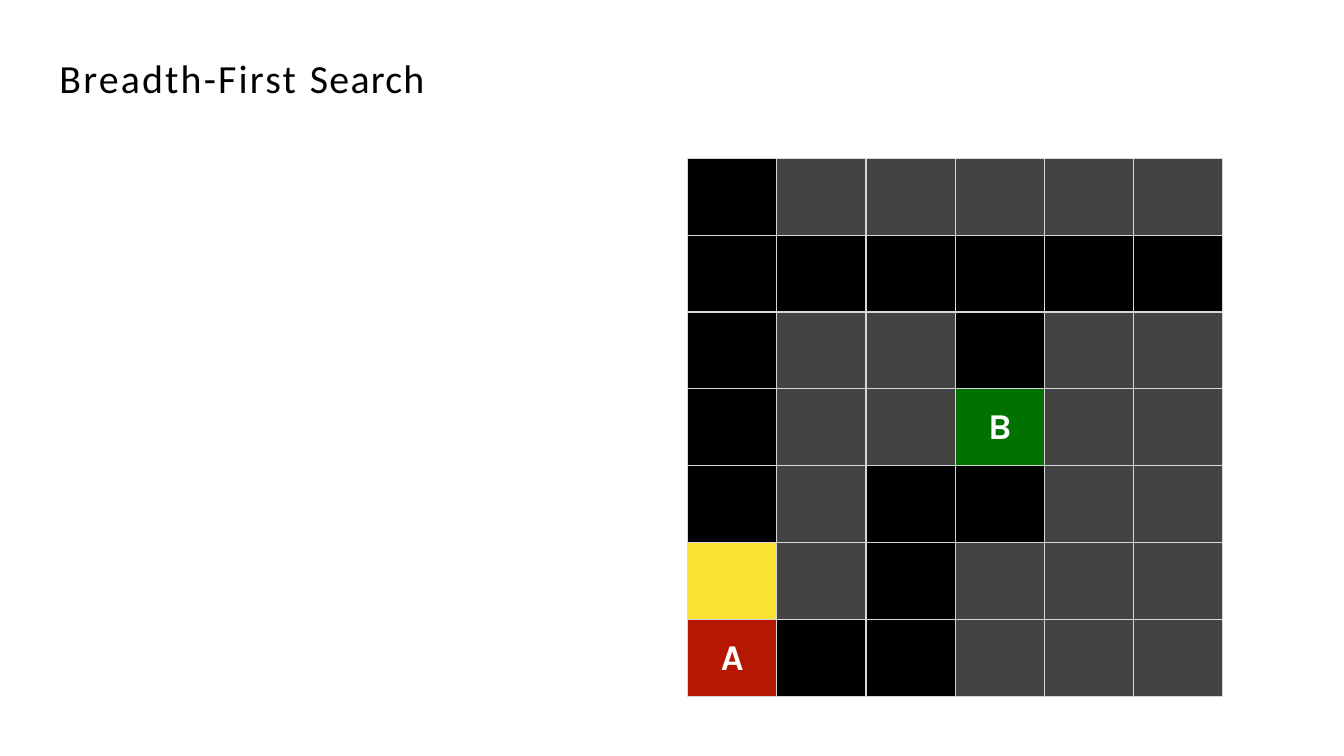
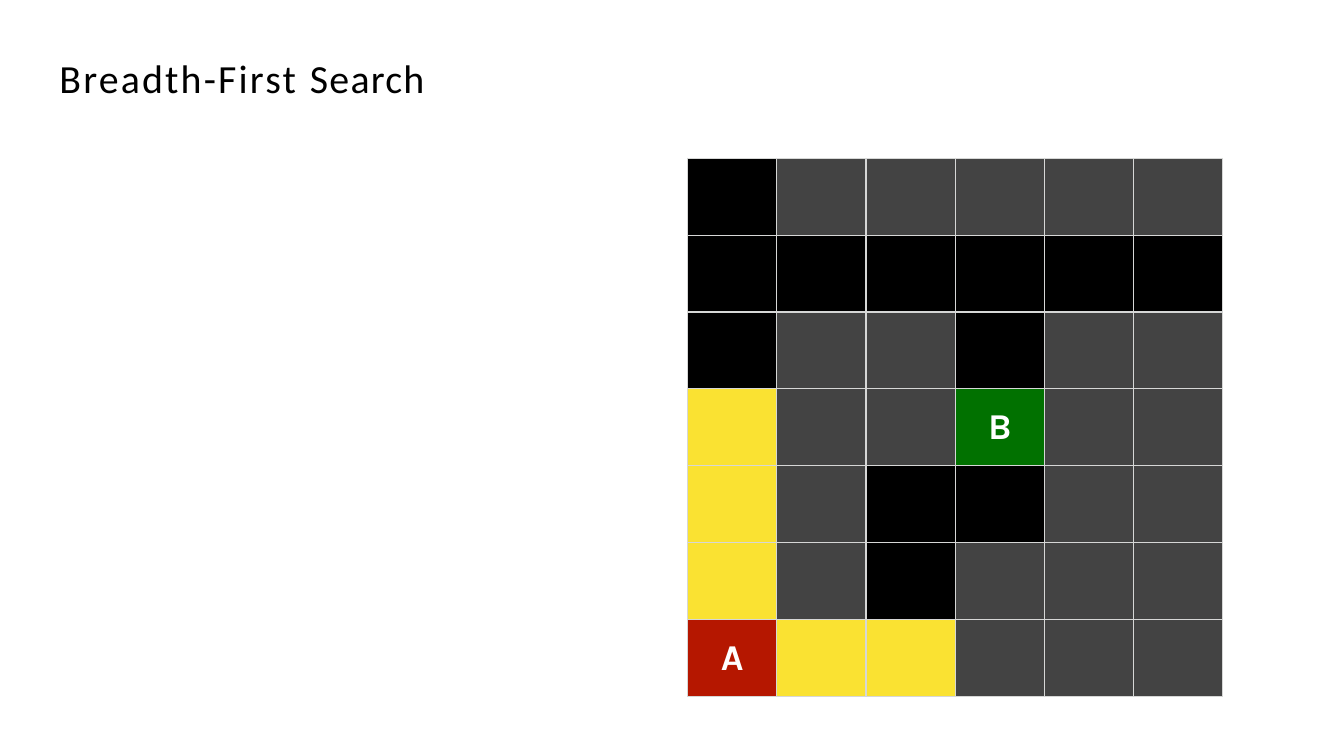
from collections import deque

from lxml.etree import SubElement
from pptx import Presentation
from pptx.dml.color import RGBColor as Rgb
from pptx.enum.text import MSO_ANCHOR as Anchor, PP_ALIGN as Align
from pptx.oxml.ns import qn
from pptx.util import Inches, Pt

WIDTH, HEIGHT = Inches(13.33), Inches(7.5)
COLORS = {
    "wall": "434343",
    "open": "000000",
    "explored": "FAE232",
    "start": "B51700",
    "goal": "017100",
    "border": "D6D7D6",
    "label": "FFFFFF",
    "title": "000000",
}
KINDS = {"#": "wall", ".": "open", "A": "start", "B": "goal"}
MAZE = [
    ".#####",
    "......",
    ".##.##",
    ".##B##",
    ".#..##",
    ".#.###",
    "A..###",
]
STEPS = [(-1, 0), (0, 1), (1, 0), (0, -1)]
START = (6, 0)
TITLE = [("Breadth-First ", 1.6), ("Search", 0.9)]
TITLE_BOX = (0.58 / 13.33, 0.52 / 7.5, 4.05 / 13.33, 0.49 / 7.5)
MAZE_BOX = (6.82 / 13.33, 1.57 / 7.5, 5.31 / 13.33, 5.34 / 7.5)
EXPLORED_COUNTS = [1, 5]


def scale(box):
    """Turn shares of the slide into whole lengths."""
    return [round(share * side) for share, side in zip(box, (WIDTH, HEIGHT) * 2)]


def add_text(para, text, *, size, font, color, bold=False, spacing=0):
    """Append a formatted span to a paragraph."""
    span = para.add_run()
    span.text = text
    span.font.size = Pt(size)
    span.font.name = font
    span.font.bold = bold
    span.font.color.rgb = Rgb.from_string(COLORS[color])
    if spacing:
        span.font._element.set("spc", str(round(spacing * 100)))


def explored_cells(count):
    """Return the first cells that breadth-first search visits after the start."""
    queue, visited = deque([START]), [START]
    while queue and len(visited) <= count:
        row, col = queue.popleft()
        for down, right in STEPS:
            cell = (row + down, col + right)
            inside = 0 <= cell[0] < len(MAZE) and 0 <= cell[1] < len(MAZE[0])
            if inside and cell not in visited and MAZE[cell[0]][cell[1]] != "#":
                visited.append(cell)
                queue.append(cell)
    return set(visited[1:count + 1])


def add_borders(cell):
    """Draw a thin line on all four sides of a cell."""
    properties = cell._tc.get_or_add_tcPr()
    for side in ("a:lnL", "a:lnR", "a:lnT", "a:lnB"):
        line = SubElement(properties, qn(side), w=str(Pt(1)))
        fill = SubElement(line, qn("a:solidFill"))
        SubElement(fill, qn("a:srgbClr"), val=COLORS["border"])


def paint_cell(cell, mark, kind):
    """Give a maze cell its borders, fill and letter."""
    cell.margin_left = cell.margin_right = cell.margin_top = cell.margin_bottom = 0
    cell.vertical_anchor = Anchor.MIDDLE
    add_borders(cell)
    cell.fill.solid()
    cell.fill.fore_color.rgb = Rgb.from_string(COLORS[kind])
    if mark.isalpha():
        para = cell.text_frame.paragraphs[0]
        para.alignment = Align.CENTER
        add_text(para, mark, size=26, font="Karla", color="label", bold=True)


def add_title(page, box):
    """Write the slide title in the given box."""
    frame = page.shapes.add_textbox(*scale(box)).text_frame
    frame.word_wrap = True
    frame.vertical_anchor = Anchor.MIDDLE
    frame.margin_left = frame.margin_top = Inches(0.01)
    frame.margin_right = frame.margin_bottom = 0
    for text, spacing in TITLE:
        add_text(frame.paragraphs[0], text, size=28.5, font="Calibri",
                 color="title", spacing=spacing)


def add_maze(page, box, explored):
    """Fill the given box with the maze, marking the explored cells."""
    left, top, width, height = scale(box)
    rows, cols = len(MAZE), len(MAZE[0])
    table = page.shapes.add_table(rows, cols, left, top, width, height).table
    table.first_row = table.horz_banding = False
    for row, marks in enumerate(MAZE):
        for col, mark in enumerate(marks):
            kind = "explored" if (row, col) in explored else KINDS[mark]
            paint_cell(table.cell(row, col), mark, kind)


def add_search_slide(deck, count):
    """Add a slide showing the search after a number of explored cells."""
    page = deck.slides.add_slide(deck.slide_layouts[6])
    add_maze(page, MAZE_BOX, explored_cells(count))
    add_title(page, TITLE_BOX)


def main():
    """Build and save the deck."""
    deck = Presentation()
    deck.slide_width, deck.slide_height = WIDTH, HEIGHT
    for count in EXPLORED_COUNTS:
        add_search_slide(deck, count)
    deck.save("out.pptx")


if __name__ == "__main__":
    main()
